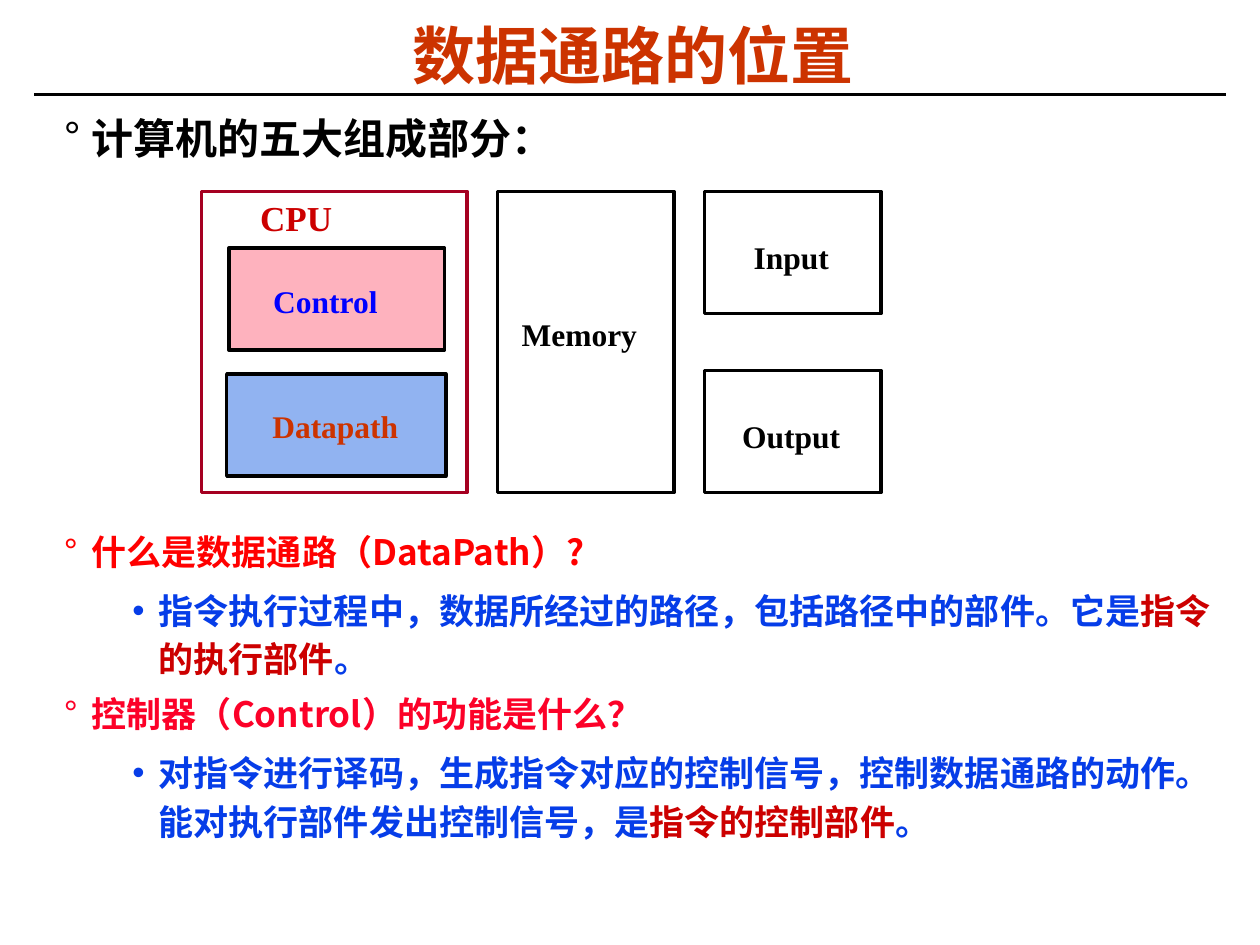
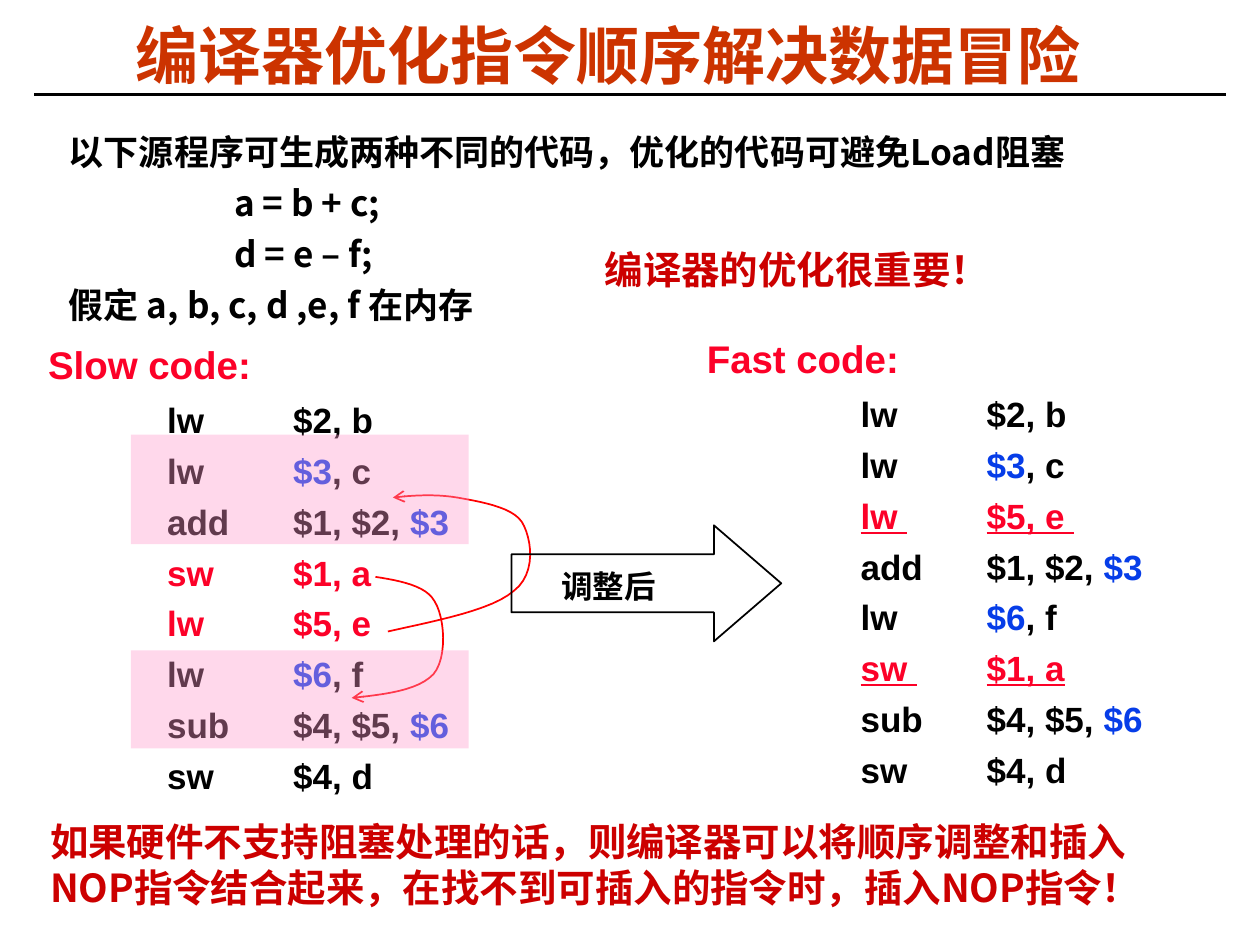
from dataclasses import dataclass

from lxml import etree
from pptx import Presentation
from pptx.dml.color import RGBColor
from pptx.enum import shapes, text
from pptx.oxml.ns import qn
from pptx.util import Cm, Pt


@dataclass(frozen=True)
class Theme:
    # Colours
    title: str = "CC3300"
    black: str = "000000"
    red: str = "FF0000"
    crimson: str = "FC0128"
    dark_red: str = "CC0000"
    maroon: str = "A50021"
    blue: str = "063DE8"
    pure_blue: str = "0000FF"
    sky: str = "91B3F1"
    pink: str = "FF99CC"
    # Fonts
    sans: str = "Arial"
    cjk: str = "Noto Sans CJK SC"
    serif: str = "Times New Roman"
    # Sizes in points
    title_size: int = 36
    heading: int = 24
    callout: int = 22
    body: int = 20
    label: int = 18
    leading: float = 1.2


T = Theme()


# ---------- Shared helpers ----------
def sub(parent, tag, **attrs):
    return etree.SubElement(parent, qn(tag), attrs)


def add_run(p, words, size, color, font, underline=False):
    r = p.add_run()
    r.text = words
    r.font.size = Pt(size)
    r.font.bold = True
    if underline:
        r.font.underline = True
    r.font.color.rgb = RGBColor.from_string(color)
    r.font.name = font
    sub(r.font._element, "a:ea", typeface=T.cjk)


def format_paragraph(p, size, spacing=1.0, before=0, align=text.PP_ALIGN.LEFT):
    p.alignment = align
    p.line_spacing = Pt(round(size * T.leading * spacing, 1))
    p.space_before = Pt(before)


def set_bullet(p, char, color, left, hang):
    pPr = p._p.get_or_add_pPr()
    pPr.set("marL", str(Cm(left)))
    pPr.set("indent", str(-Cm(hang)))
    sub(sub(pPr, "a:buClr"), "a:srgbClr", val=color)
    sub(pPr, "a:buFont", typeface=T.sans)
    sub(pPr, "a:buChar", char=char)


def set_tabs(p, stops):
    tabs = sub(p._p.get_or_add_pPr(), "a:tabLst")
    for stop in stops:
        sub(tabs, "a:tab", pos=str(Cm(stop)), algn="l")


def next_paragraph(tf, first):
    return tf.paragraphs[0] if first else tf.add_paragraph()


def set_frame(tf, anchor=text.MSO_ANCHOR.TOP):
    tf.word_wrap = True
    tf.auto_size = text.MSO_AUTO_SIZE.NONE
    tf.vertical_anchor = anchor
    tf.margin_left = tf.margin_right = Cm(0.25)
    tf.margin_top = tf.margin_bottom = Cm(0.13)


def add_text_frame(slide, x, y, w, h):
    tf = slide.shapes.add_textbox(Cm(x), Cm(y), Cm(w), Cm(h)).text_frame
    set_frame(tf)
    return tf


def add_line_of_text(slide, box, words, size, color, font,
                     align=text.PP_ALIGN.LEFT):
    p = add_text_frame(slide, *box).paragraphs[0]
    format_paragraph(p, size, align=align)
    add_run(p, words, size, color, font)


def add_block(slide, x, y, w, h, fill=None, alpha=None, line=None, width=2,
              kind=shapes.MSO_SHAPE.RECTANGLE):
    sp = slide.shapes.add_shape(kind, Cm(x), Cm(y), Cm(w), Cm(h))
    sp.shadow.inherit = False
    if fill:
        sp.fill.solid()
        sp.fill.fore_color.rgb = RGBColor.from_string(fill)
        if alpha:
            color = sp._element.spPr.find(qn("a:solidFill"))[0]
            sub(color, "a:alpha", val=str(alpha * 1000))
    else:
        sp.fill.background()
    if line:
        sp.line.color.rgb = RGBColor.from_string(line)
        sp.line.width = Pt(width)
    else:
        sp.line.fill.background()
    return sp


def new_slide(prs, title, x, w):
    slide = prs.slides.add_slide(prs.slide_layouts[5])
    # Title
    sp = slide.shapes.title
    sp.left, sp.top, sp.width, sp.height = Cm(x), Cm(0.36), Cm(w), Cm(1.47)
    set_frame(sp.text_frame, text.MSO_ANCHOR.MIDDLE)
    p = sp.text_frame.paragraphs[0]
    format_paragraph(p, T.title_size, align=text.PP_ALIGN.CENTER)
    add_run(p, title, T.title_size, T.title, T.sans)
    # Rule under the title
    rule = slide.shapes.add_connector(shapes.MSO_CONNECTOR.STRAIGHT,
                                      Cm(0.69), Cm(1.9), Cm(24.71), Cm(1.9))
    rule.line.color.rgb = RGBColor.from_string(T.black)
    rule.line.width = Pt(1.5)
    sub(rule._element.spPr, "a:effectLst")
    return slide


# ---------- Slide 1: position of the datapath ----------
def add_outline(slide, x, y, w, h):
    tf = add_text_frame(slide, x, y, w, h)
    p = tf.paragraphs[0]
    format_paragraph(p, T.heading)
    set_bullet(p, "°", T.black, 0.56, 0.56)
    add_run(p, "计算机的五大组成部分：", T.heading, T.black, T.sans)

    # The first question leaves room for the diagram above it
    questions = [
        (209, T.red, "什么是数据通路（DataPath）?",
         "指令执行过程中，数据所经过的路径，包括路径中的部件。它是",
         "指令的执行部件"),
        (6.2, T.crimson, "控制器（Control）的功能是什么？",
         "对指令进行译码，生成指令对应的控制信号，控制数据通路的动作。"
         "能对执行部件发出控制信号，是",
         "指令的控制部件"),
    ]
    for before, color, question, answer, key in questions:
        p = tf.add_paragraph()
        format_paragraph(p, T.body, 1.05, before)
        set_bullet(p, "°", color, 0.56, 0.56)
        add_run(p, question, T.body, color, T.cjk)
        p = tf.add_paragraph()
        p.level = 1
        format_paragraph(p, T.body, 1.15, 6.2)
        set_bullet(p, "•", T.blue, 1.91, 0.53)
        for words, shade in ((answer, T.blue), (key, T.dark_red),
                             ("。", T.blue)):
            add_run(p, words, T.body, shade, T.cjk)


def add_computer_diagram(slide, x, y):
    # Blocks: left, top, width, height, fill, alpha, line
    blocks = [
        (0.56, 1.14, 4.34, 2.06, T.crimson, 30, T.black),
        (5.97, 0, 3.56, 6.07, None, None, T.black),
        (0, 0, 5.36, 6.07, None, None, T.maroon),
        (10.14, 0, 3.56, 2.46, None, None, T.black),
        (10.14, 3.61, 3.56, 2.46, None, None, T.black),
        (0.51, 3.68, 4.42, 2.06, T.sky, None, T.black),
    ]
    for left, top, *rest in blocks:
        add_block(slide, x + left, y + top, *rest)

    # Labels: centre, top
    width = 3.4
    labels = [
        ("CPU", 1.91, -0.02, T.body, T.dark_red),
        ("Control", 2.5, 1.7, T.label, T.pure_blue),
        ("Datapath", 2.7, 4.22, T.label, T.title),
        ("Memory", 7.62, 2.36, T.label, T.black),
        ("Input", 11.89, 0.81, T.label, T.black),
        ("Output", 11.89, 4.42, T.label, T.black),
    ]
    for name, centre, top, size, color in labels:
        add_line_of_text(slide, (x + centre - width / 2, y + top, width, 1),
                         name, size, color, T.serif, text.PP_ALIGN.CENTER)


def build_datapath_slide(prs):
    slide = new_slide(prs, "数据通路的位置", 0.66, 24.21)
    add_outline(slide, 1.04, 2.13, 23.72, 15.4)
    add_computer_diagram(slide, 4.06, 3.86)


# ---------- Slide 2: instruction order ----------
def add_source_program(slide, x, y, w, h):
    tf = add_text_frame(slide, x, y, w, h)
    lines = ["以下源程序可生成两种不同的代码，优化的代码可避免Load阻塞",
             "\ta = b + c;", "\td = e – f;", "假定 a, b, c, d ,e, f 在内存"]
    for i, words in enumerate(lines):
        p = next_paragraph(tf, i == 0)
        format_paragraph(p, T.body, 0.9, 7.5 if i else 0)
        set_tabs(p, [3.33])
        add_run(p, words, T.body, T.black, T.cjk)


def add_code(slide, x, y, w, h, heading, code, first_tab, indent=0,
             underline=False):
    """Each line of code is (operation, operands, register in blue, rest);
    a moved line has only the first two, and shows in crimson."""
    tf = add_text_frame(slide, x, y, w, h)
    p = tf.paragraphs[0]
    format_paragraph(p, T.callout)
    p._p.get_or_add_pPr().set("marL", str(Cm(indent)))
    add_run(p, heading, T.callout, T.crimson, T.sans)
    for i, (operation, operands, *tail) in enumerate(code):
        p = tf.add_paragraph()
        format_paragraph(p, T.body, before=5 if i else 6.5)
        set_tabs(p, [first_tab, first_tab + 2.54])
        moved = not tail
        add_run(p, "\t", T.body, T.black, T.sans)
        add_run(p, f"{operation}\t{operands}", T.body,
                T.crimson if moved else T.black, T.sans, moved and underline)
        for words, color in zip(tail, (T.blue, T.black)):
            if words:
                add_run(p, words, T.body, color, T.sans)


def add_curved_arrow(slide, x, y, start, *segments, steps=12):
    points = [start]
    for c1, c2, end in segments:
        p0 = points[-1]
        for i in range(1, steps + 1):
            t = i / steps
            points.append(tuple(
                (1 - t) ** 3 * a + 3 * (1 - t) ** 2 * t * b
                + 3 * (1 - t) * t ** 2 * c + t ** 3 * d
                for a, b, c, d in zip(p0, c1, c2, end)))
    points = [(Cm(x + px), Cm(y + py)) for px, py in points]
    builder = slide.shapes.build_freeform(*points[0], scale=1.0)
    builder.add_line_segments(points[1:], close=False)
    sp = builder.convert_to_shape()
    sp.shadow.inherit = False
    sp.fill.background()
    sp.line.color.rgb = RGBColor.from_string(T.red)
    sp.line.width = Pt(1)
    sub(sp.line._get_or_add_ln(), "a:tailEnd", type="arrow")


def add_slow_code(slide, x, y):
    # Moves of the two instructions
    add_curved_arrow(slide, x, y, (7.24, 5.98),
                     ((8.28, 5.75), (9.35, 5.54), (9.78, 5.16)),
                     ((10.24, 4.81), (10.14, 4.1), (9.94, 3.77)),
                     ((9.73, 3.46), (9.07, 3.36), (8.64, 3.28)),
                     ((8.21, 3.21), (7.78, 3.23), (7.34, 3.28)))
    add_curved_arrow(slide, x, y, (6.99, 4.88),
                     ((7.5, 4.96), (8.01, 5.06), (8.18, 5.37)),
                     ((8.39, 5.7), (8.44, 6.51), (8.16, 6.84)),
                     ((7.85, 7.17), (7.19, 7.25), (6.51, 7.32)))
    code = [("lw", "$2, b", ""), ("lw ", "", "$3", ", c"),
            ("add ", "$1, $2, ", "$3"), ("sw ", "$1, a"), ("lw ", "$5, e"),
            ("lw ", "", "$6", ", f"), ("sub ", "$4, $5, ", "$6"),
            ("sw", "$4, d", "")]
    add_code(slide, x, y, 11.4, 9.45, "Slow code:", code, 2.54, indent=0.14)
    # Bands over the load-use pairs
    for top, height in ((2.01, 2.21), (6.36, 1.98)):
        add_block(slide, x + 2.06, y + top, 6.81, height, T.pink, 38)


def add_fast_code(slide, x, y):
    code = [("lw ", "$2, b", ""), ("lw ", "", "$3", ", c"), ("lw ", "$5, e "),
            ("add ", "$1, $2, ", "$3"), ("lw ", "", "$6", ", f"),
            ("sw ", "$1, a"), ("sub ", "$4, $5, ", "$6"), ("sw", "$4, d", "")]
    add_code(slide, x, y, 10, 9.45, "Fast code:", code, 3.1, underline=True)


def add_change_arrow(slide, x, y):
    sp = add_block(slide, x, y, 5.44, 2.34, line=T.black, width=1,
                   kind=shapes.MSO_SHAPE.RIGHT_ARROW)
    sp.adjustments[0], sp.adjustments[1] = 0.5, 0.58
    add_line_of_text(slide, (x + 0.76, y + 0.71, 2.82, 1), "调整后",
                     T.label, T.black, T.serif)


def build_compiler_slide(prs):
    slide = new_slide(prs, "编译器优化指令顺序解决数据冒险", 1.85, 20.83)
    add_source_program(slide, 1.14, 2.59, 22.17, 5.2)
    add_fast_code(slide, 14, 6.63)
    add_slow_code(slide, 0.58, 6.75)
    add_change_arrow(slide, 10.31, 10.59)
    # Conclusions
    add_line_of_text(slide, (11.94, 4.83, 10.24, 1.2), "编译器的优化很重要！",
                     T.callout, T.dark_red, T.sans)
    add_line_of_text(
        slide, (0.76, 16.36, 23.22, 2.1),
        "如果硬件不支持阻塞处理的话，则编译器可以将顺序调整和插入NOP指令"
        "结合起来，在找不到可插入的指令时，插入NOP指令！",
        T.callout, T.dark_red, T.cjk)


def main():
    prs = Presentation()
    prs.slide_width, prs.slide_height = Cm(25.4), Cm(19.05)
    build_datapath_slide(prs)
    build_compiler_slide(prs)
    prs.save("out.pptx")


if __name__ == "__main__":
    main()
